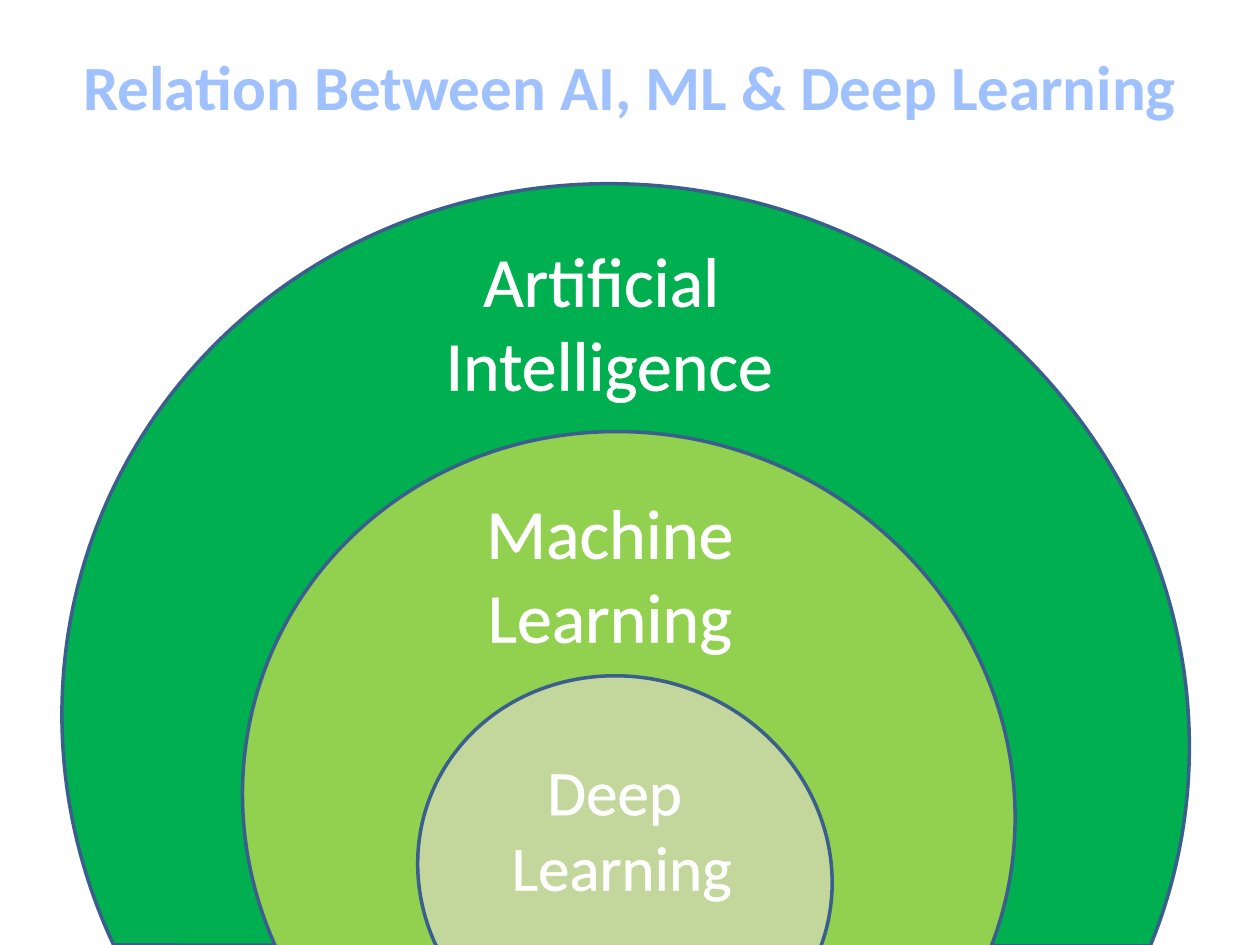
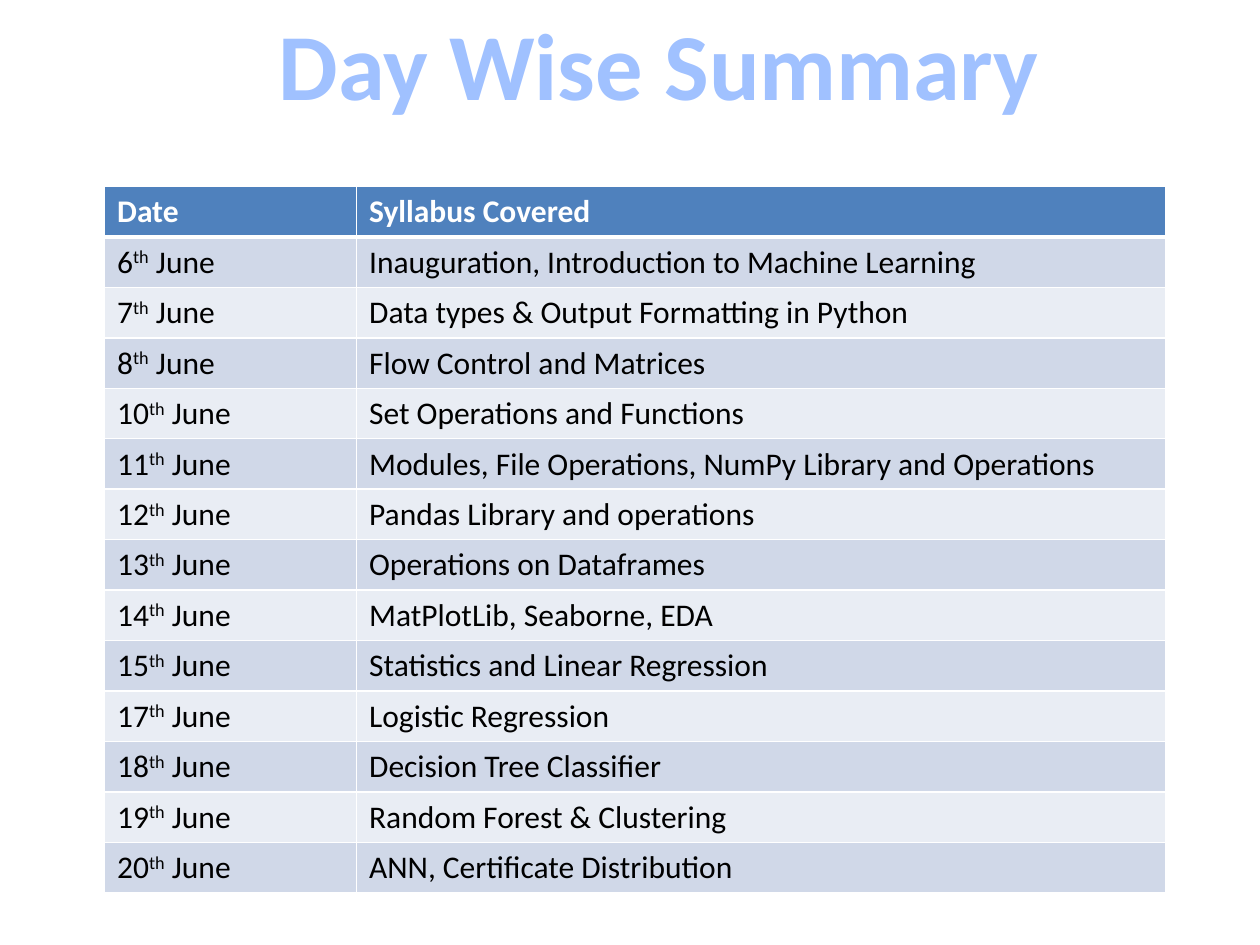
from dataclasses import dataclass
from lxml.etree import fromstring
from pptx import Presentation
from pptx.dml.color import RGBColor
from pptx.enum.shapes import MSO_SHAPE
from pptx.enum.text import MSO_AUTO_SIZE, PP_ALIGN
from pptx.util import Inches, Pt

NS = 'xmlns:a="http://schemas.openxmlformats.org/drawingml/2006/main"'


@dataclass(frozen=True)
class Theme:
    font: str = "Calibri"
    white: str = "FFFFFF"
    black: str = "000000"
    head: str = "4F81BD"
    bands: tuple = ("D0D8E8", "E9EDF4")
    rim: str = "3A5F8C"
    edge: str = "467AB8"
    # Title gradient: percent and colour
    glow: tuple = ((0, "BFD3F9"), (9, "A0C1FF"), (50, "003D85"),
                   (79, "A0C1FF"), (100, "BFD3F9"))
    body: int = 18


T = Theme()

# Content: title, size, place
TITLES = [
    ("Relation Between AI, ML & Deep Learning", 36, (0.51, 0.33, 8.98, 0.71)),
    ("Day Wise Summary", 54, (2.08, 0, 6.3, 1.01)),
]

# Nested fields, outermost first: colour, place, turn
TURN = 112.3
RINGS = [
    ("00B050", (0.65, 1.3, 8.63, 9)),
    ("92D050", (2.04, 3.31, 5.9, 6.17)),
    ("C3D69B", (3.41, 5.27, 3.1, 3.32)),
]
LABELS = [
    (("Artificial ", "Intelligence"), 40, (3.42, 1.83, 2.83, 1.45)),
    (("Machine", "Learning"), 40, (3.75, 3.83, 2.18, 1.45)),
    (("Deep ", "Learning"), 36, (3.95, 5.92, 1.97, 1.31)),
]

# Schedule: day of June, topic
HEADS = ("Date", "Syllabus Covered")
DAYS = [
    (6, "Inauguration, Introduction to Machine Learning"),
    (7, "Data types & Output Formatting in Python"),
    (8, "Flow Control and Matrices"),
    (10, "Set Operations and Functions"),
    (11, "Modules, File Operations, NumPy Library and Operations"),
    (12, "Pandas Library and operations"),
    (13, "Operations on Dataframes"),
    (14, "MatPlotLib, Seaborne, EDA"),
    (15, "Statistics and Linear Regression"),
    (17, "Logistic Regression"),
    (18, "Decision Tree Classifier"),
    (19, "Random Forest & Clustering"),
    (20, "ANN, Certificate Distribution"),
]
COLS = (2, 6.42)
LEFT, TOP, ROW = 0.83, 1.48, 0.4


def rgb(code):
    return RGBColor.from_string(code)


def place(box):
    return [Inches(n) for n in box]


def solid(code):
    return f'<a:solidFill><a:srgbClr val="{code}"/></a:solidFill>'


def stroke(tag, code, width):
    return fromstring(f'<a:{tag} {NS} w="{Pt(width)}">{solid(code)}</a:{tag}>')


def fade():
    stops = "".join(f'<a:gs pos="{at * 1000}"><a:srgbClr val="{code}"/></a:gs>'
                    for at, code in T.glow)
    return fromstring(f'<a:gradFill {NS}><a:gsLst>{stops}</a:gsLst>'
                      '<a:lin ang="5400000"/></a:gradFill>')


def style(para, size, color=None, bold=False):
    font = para.font
    font.name, font.size, font.bold = T.font, Pt(size), bold
    if color:
        font.color.rgb = rgb(color)


def art(slide, lines, size, box):
    """Add a centred, unwrapped text box; yield each paragraph and run."""
    frame = slide.shapes.add_textbox(*place(box)).text_frame
    frame.word_wrap = False
    frame.auto_size = MSO_AUTO_SIZE.SHAPE_TO_FIT_TEXT
    frame.text = "\n".join(lines)
    for para in frame.paragraphs:
        para.alignment = PP_ALIGN.CENTER
        yield para, para.runs[0]._r.get_or_add_rPr()


def title(slide, text, size, box):
    for para, props in art(slide, [text], size, box):
        style(para, size, bold=True)
        props.insert(0, stroke("ln", T.edge, 0.83))
        props.insert(1, fade())


def label(slide, lines, size, box):
    for para, props in art(slide, lines, size, box):
        style(para, size, T.white)
        props.insert(0, stroke("ln", T.white, 1.45))


def ring(slide, color, box):
    shape = slide.shapes.add_shape(MSO_SHAPE.CHORD, *place(box))
    shape.rotation = TURN
    shape.shadow.inherit = False
    shape.fill.solid()
    shape.fill.fore_color.rgb = rgb(color)
    shape.line.color.rgb = rgb(T.rim)
    shape.line.width = Pt(2)


def paint(cell, parts, fill, color, head):
    """Fill a cell; the second of several parts is raised."""
    para = cell.text_frame.paragraphs[0]
    style(para, T.body, color, head)
    for i, part in enumerate(parts):
        run = para.add_run()
        run.text = part
        if i == 1:
            run._r.get_or_add_rPr().set("baseline", "30000")
    cell.fill.solid()
    cell.fill.fore_color.rgb = rgb(fill)
    props = cell._tc.get_or_add_tcPr()
    for i, side in enumerate("LRTB"):
        width = 3 if head and side == "B" else 1
        props.insert(i, stroke("ln" + side, T.white, width))


def table(slide):
    rows = [[(text,) for text in HEADS]]
    rows += [[(str(day), "th", " June"), (topic,)] for day, topic in DAYS]
    box = (LEFT, TOP, sum(COLS), ROW * len(rows))
    grid = slide.shapes.add_table(len(rows), len(COLS), *place(box)).table
    for col, width in zip(grid.columns, COLS):
        col.width = Inches(width)
    for r, row in enumerate(rows):
        grid.rows[r].height = Inches(ROW)
        head = r == 0
        fill = T.head if head else T.bands[(r - 1) % 2]
        color = T.white if head else T.black
        for c, parts in enumerate(row):
            paint(grid.cell(r, c), parts, fill, color, head)


deck = Presentation()
deck.slide_width, deck.slide_height = Inches(10), Inches(7.5)
blank = deck.slide_layouts[6]

# Nested fields
first = deck.slides.add_slide(blank)
for item in RINGS:
    ring(first, *item)
title(first, *TITLES[0])
for item in LABELS:
    label(first, *item)

# Schedule
second = deck.slides.add_slide(blank)
table(second)
title(second, *TITLES[1])

deck.save("out.pptx")
